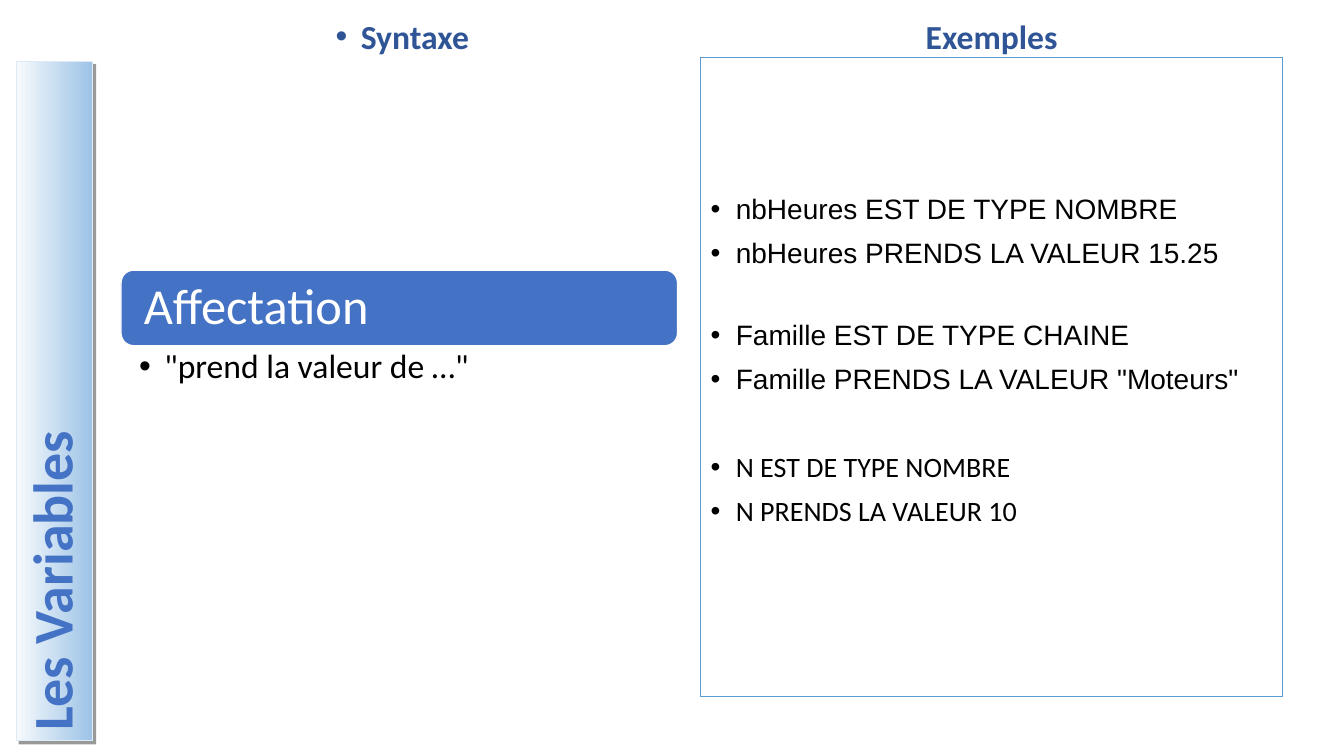
from lxml.etree import SubElement
from pptx import Presentation
from pptx.dml.color import RGBColor
from pptx.enum.shapes import MSO_SHAPE
from pptx.enum.text import MSO_ANCHOR, MSO_AUTO_SIZE, PP_ALIGN
from pptx.oxml.ns import qn
from pptx.util import Inches, Pt

# Content
TITLE = "Les Variables"
HEADINGS = ["Syntaxe", "Exemples"]
TOPIC = "Affectation"
MEANING = '"prend la valeur de …"'
EXAMPLES = [
    ("Arial", ["nbHeures EST DE TYPE NOMBRE", "nbHeures PRENDS LA VALEUR 15.25"]),
    ("Arial", ["Famille EST DE TYPE CHAINE", 'Famille PRENDS LA VALEUR "Moteurs"']),
    ("Calibri", ["N EST DE TYPE NOMBRE", "N PRENDS LA VALEUR 10"]),
]
COLORS = {"blue": "4472C4", "navy": "2F5597", "frame": "5B9BD5", "pale": "F7FAFD",
          "sky": "9DC3E6", "edge": "DEEBF7", "white": "FFFFFF", "black": "000000"}

# Grid in inches: (left, width) of columns, (top, height) of rows
SYNTAX, EXAMPLE, TOPIC_COL = (1.12, 5.74), (6.95, 5.77), (1.2, 5.52)
HEAD_ROW, FRAME_ROW = (0.1, 0.51), (0.57, 6.34)
TOPIC_ROW, MEANING_ROW = (2.68, 0.75), (3.44, 1.16)
BAND_COL, BAND_ROW = (0.16, 0.76), (0.61, 6.74)
MARGINS = (0.1, 0.05, 0.1, 0.05)
GROUP_GAPS = (0, 37, 41)


def rgb(name):
    return RGBColor.from_string(COLORS[name])


def cell(col, row):
    return [Inches(v) for v in (col[0], row[0], col[1], row[1])]


def set_frame(tf, anchor, margins=MARGINS):
    tf.word_wrap = True
    tf.auto_size = MSO_AUTO_SIZE.NONE
    tf.vertical_anchor = anchor
    tf.margin_left, tf.margin_top, tf.margin_right, tf.margin_bottom = map(Inches, margins)
    return tf


def write(tf, text, size, color, font="Calibri", bold=False, bullet=False,
          align=PP_ALIGN.LEFT, before=0):
    p = tf.paragraphs[0]
    if p.runs:
        p = tf.add_paragraph()
    p.alignment, p.line_spacing, p.space_before = align, 0.9, Pt(before)
    if bullet:
        pPr = p._p.get_or_add_pPr()
        pPr.set("marL", str(Inches(0.25)))
        pPr.set("indent", str(-Inches(0.25)))
        SubElement(SubElement(pPr, qn("a:buClr")), qn("a:srgbClr"), val=COLORS[color])
        SubElement(pPr, qn("a:buFont"), typeface="Arial")
        SubElement(pPr, qn("a:buChar"), char="•")
    r = p.add_run()
    r.text = text
    r.font.name, r.font.size, r.font.bold = font, Pt(size), bold
    r.font.color.rgb = rgb(color)


def add_box(s, kind, col, row, line, weight, fill=None):
    sp = s.shapes.add_shape(kind, *cell(col, row))
    sp.shadow.inherit = False
    if fill:
        sp.fill.solid()
        sp.fill.fore_color.rgb = rgb(fill)
    else:
        sp.fill.background()
    sp.line.color.rgb, sp.line.width = rgb(line), Pt(weight)
    return sp


prs = Presentation()
prs.slide_width, prs.slide_height = Inches(13.33), Inches(7.5)
s = prs.slides.add_slide(prs.slide_layouts[5])

# Vertical title band: a wide box turned about its centre
band = s.shapes.title
x, y = BAND_COL[0] + BAND_COL[1] / 2, BAND_ROW[0] + BAND_ROW[1] / 2
length, depth = BAND_ROW[1], BAND_COL[1]
band.left, band.top, band.width, band.height = cell(
    (x - length / 2, length), (y - depth / 2, depth))
band.rotation = 270
band.fill.gradient()
band.fill.gradient_angle = 270
for stop, name in zip(band.fill.gradient_stops, ("pale", "sky")):
    stop.color.rgb = rgb(name)
band.line.color.rgb, band.line.width = rgb("edge"), Pt(0.75)
effects = SubElement(band._element.spPr, qn("a:effectLst"))
shadow = SubElement(effects, qn("a:outerShdw"), blurRad="0", dist=str(Pt(3)),
                    dir="2700000", algn="ctr", rotWithShape="0")
SubElement(SubElement(shadow, qn("a:srgbClr"), val=COLORS["black"]),
           qn("a:alpha"), val="40000")
write(set_frame(band.text_frame, MSO_ANCHOR.MIDDLE), TITLE, 40, "blue", bold=True)

# Column headings
for text, col, bullet in zip(HEADINGS, (SYNTAX, EXAMPLE), (True, False)):
    tf = set_frame(s.shapes.add_textbox(*cell(col, HEAD_ROW)).text_frame, MSO_ANCHOR.BOTTOM)
    write(tf, text, 24, "navy", bold=True, bullet=bullet, align=PP_ALIGN.CENTER)

# Syntax: topic bar and its meaning
bar = add_box(s, MSO_SHAPE.ROUNDED_RECTANGLE, TOPIC_COL, TOPIC_ROW, "white", 1, "blue")
write(set_frame(bar.text_frame, MSO_ANCHOR.MIDDLE, (0.19,) * 4), TOPIC, 36, "white")
meaning = s.shapes.add_textbox(*cell(TOPIC_COL, MEANING_ROW))
write(set_frame(meaning.text_frame, MSO_ANCHOR.TOP, (0.18, 0.03, 0.19, 0.03)),
      MEANING, 24, "black", bullet=True)

# Examples: groups of lines set apart by spacing
panel = add_box(s, MSO_SHAPE.RECTANGLE, EXAMPLE, FRAME_ROW, "frame", 0.75)
tf = set_frame(panel.text_frame, MSO_ANCHOR.MIDDLE, (0.1, 0.19, 0.1, 0.5))
for (font, lines), gap in zip(EXAMPLES, GROUP_GAPS):
    for i, text in enumerate(lines):
        write(tf, text, 20, "black", font=font, bullet=True, before=10 if i else gap)

prs.save("out.pptx")
